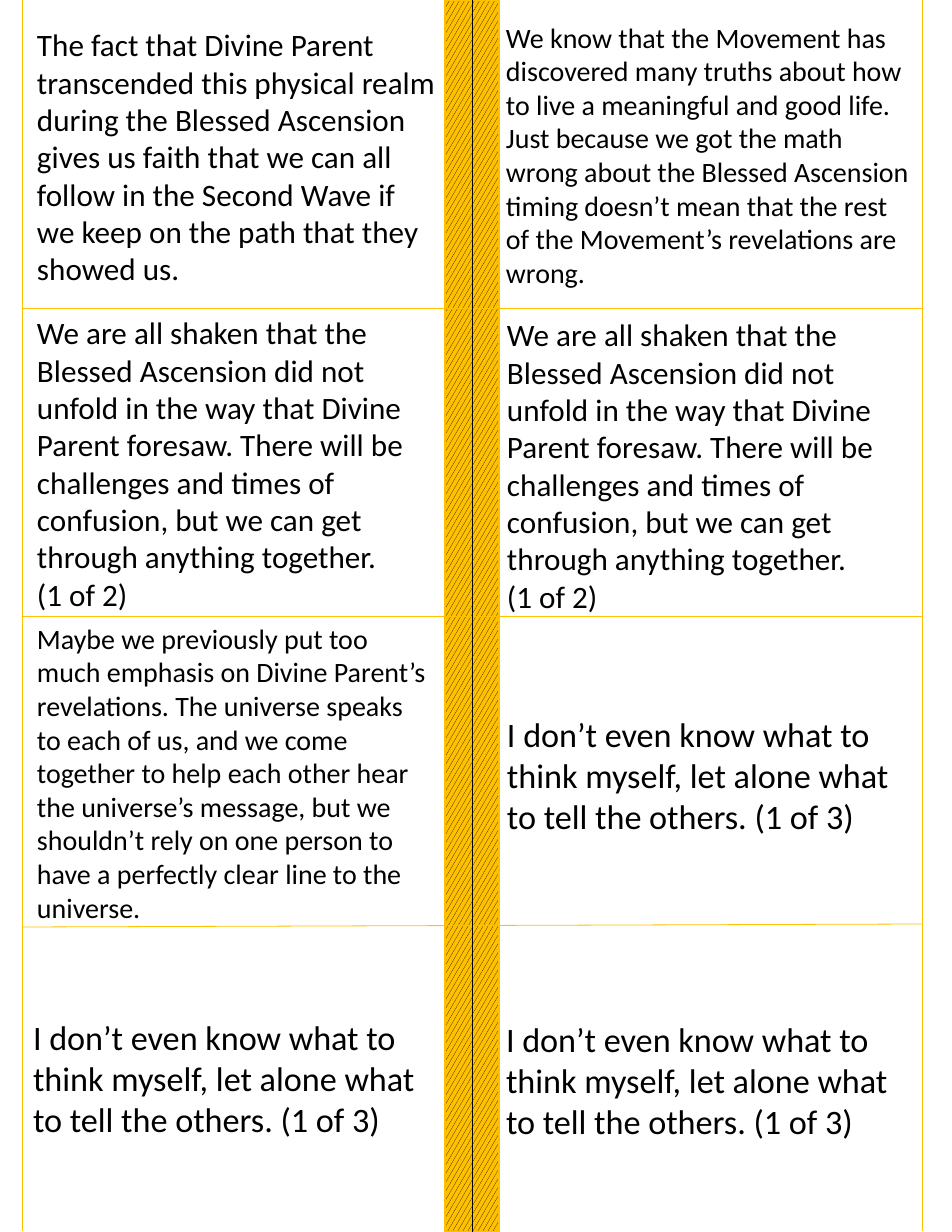
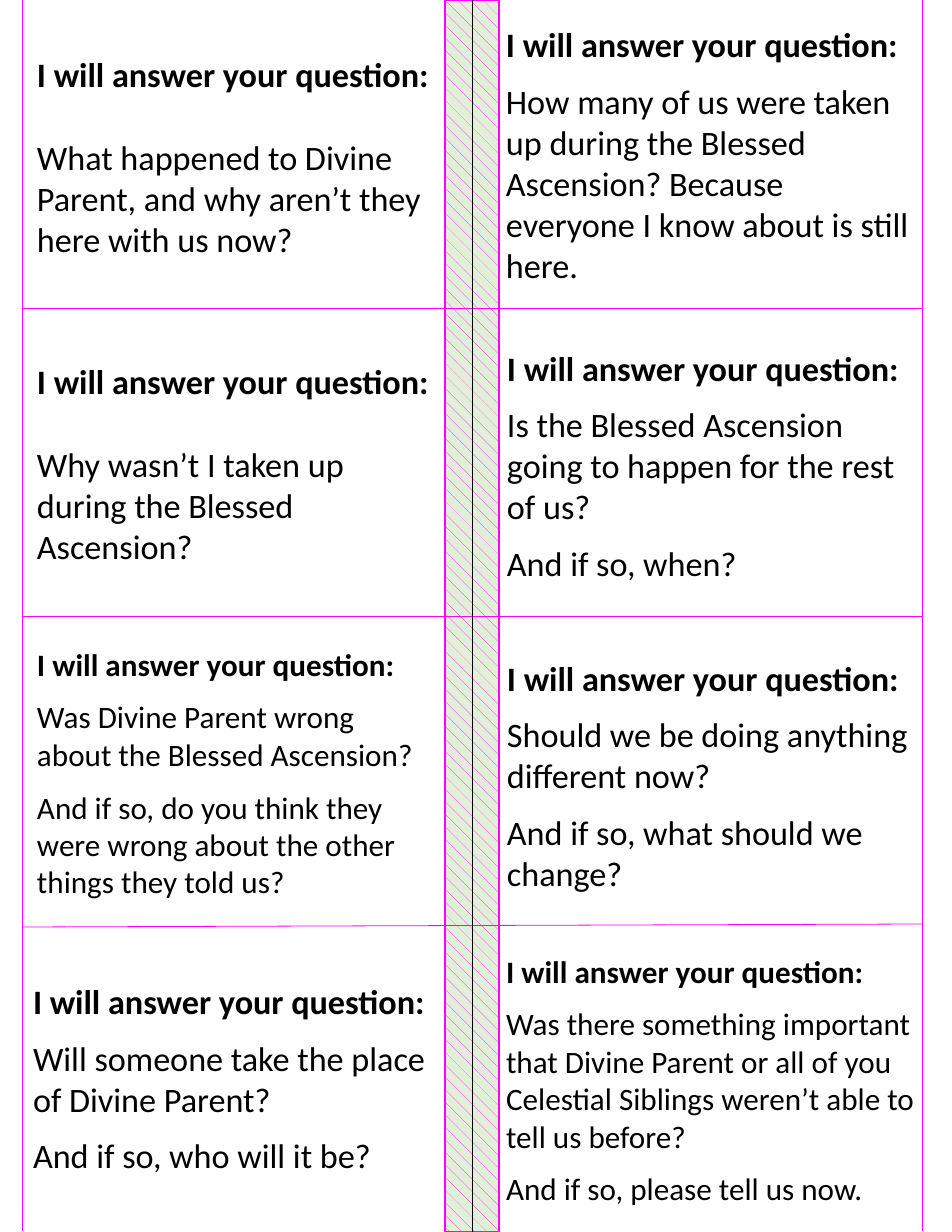
from dataclasses import dataclass

import pptx
import pptx.util
import pptx.dml.color
import pptx.enum.dml
import pptx.enum.shapes
import pptx.enum.text
import pptx.oxml.ns
from lxml import etree

PATTERN = pptx.enum.dml.MSO_PATTERN
EMU_PER_PX = 914400 / 112
PAGE_W, PAGE_H = 952, 1232


@dataclass(frozen=True)
class Theme:
    font: str = "Calibri"
    ink: str = "000000"
    gold: str = "FFC000"
    magenta: str = "FF00FF"
    pale_green: str = "E2F0D9"
    small: int = 18
    medium: int = 20
    large: int = 22
    hairline: float = 0.5
    band_line: float = 1
    narrow_gap: int = 10
    wide_gap: int = 27


THEME = Theme()

# Cutting guides, shared by both sheets
EDGES = (22, 922)
EDGE_BOTTOM = 1231
ROW_CUTS = ((308, 308), (616, 616), (927, 924))
BAND_LEFT, BAND_WIDTH = 445, 54

# Card text areas, row by row: left, top, width, height
CARD_AREAS = (
    (26, 8, 421, 297), (495, 2, 430, 305),
    (26, 311, 422, 304), (496, 315, 430, 300),
    (26, 623, 416, 299), (496, 623, 430, 304),
    (22, 928, 426, 300), (495, 933, 435, 293),
)

SHAKEN = (
    "We are all shaken that the Blessed Ascension did not unfold in the way that "
    "Divine Parent foresaw. There will be challenges and times of confusion, but "
    "we can get through anything together.",
    "(1 of 2)",
)
UNSURE = (
    "I don’t even know what to think myself, let alone what to tell the others. (1 of 3)",
)

# Answers: size, paragraphs
ANSWERS = (
    (THEME.medium, (
        "The fact that Divine Parent transcended this physical realm during the "
        "Blessed Ascension gives us faith that we can all follow in the Second Wave "
        "if we keep on the path that they showed us.",)),
    (THEME.small, (
        "We know that the Movement has discovered many truths about how to live a "
        "meaningful and good life. Just because we got the math wrong about the "
        "Blessed Ascension timing doesn’t mean that the rest of the Movement’s "
        "revelations are wrong.",)),
    (THEME.medium, SHAKEN),
    (THEME.medium, SHAKEN),
    (THEME.small, (
        "Maybe we previously put too much emphasis on Divine Parent’s revelations. "
        "The universe speaks to each of us, and we come together to help each other "
        "hear the universe’s message, but we shouldn’t rely on one person to have a "
        "perfectly clear line to the universe.",)),
    (THEME.large, UNSURE),
    (THEME.large, UNSURE),
    (THEME.large, UNSURE),
)

# Questions: size, gap between paragraphs, paragraphs below the heading
QUESTION_HEADING = "I will answer your question:"
QUESTIONS = (
    (THEME.large, THEME.wide_gap, (
        "What happened to Divine Parent, and why aren’t they here with us now?",)),
    (THEME.large, THEME.narrow_gap, (
        "How many of us were taken up during the Blessed Ascension? Because everyone "
        "I know about is still here.",)),
    (THEME.large, THEME.wide_gap, (
        "Why wasn’t I taken up during the Blessed Ascension?",)),
    (THEME.large, THEME.narrow_gap, (
        "Is the Blessed Ascension going to happen for the rest of us?",
        "And if so, when?")),
    (THEME.medium, THEME.narrow_gap, (
        "Was Divine Parent wrong about the Blessed Ascension?",
        "And if so, do you think they were wrong about the other things they told us?")),
    (THEME.large, THEME.narrow_gap, (
        "Should we be doing anything different now?",
        "And if so, what should we change?")),
    (THEME.large, THEME.narrow_gap, (
        "Will someone take the place of Divine Parent?",
        "And if so, who will it be?")),
    (THEME.medium, THEME.narrow_gap, (
        "Was there something important that Divine Parent or all of you Celestial "
        "Siblings weren’t able to tell us before?",
        "And if so, please tell us now.")),
)


def px(length):
    return pptx.util.Emu(round(length * EMU_PER_PX))


def rgb(color):
    return pptx.dml.color.RGBColor.from_string(color)


def add_guide(slide, start, end, color):
    guide = slide.shapes.add_connector(
        pptx.enum.shapes.MSO_CONNECTOR.STRAIGHT, *map(px, start + end))
    guide.line.color.rgb = rgb(color)
    guide.line.width = pptx.util.Pt(THEME.hairline)
    etree.SubElement(guide._element.spPr, pptx.oxml.ns.qn("a:effectLst"))
    return guide


def add_band(slide, pattern, fore, back, outline):
    band = slide.shapes.add_shape(
        pptx.enum.shapes.MSO_SHAPE.RECTANGLE,
        px(BAND_LEFT), px(0), px(BAND_WIDTH), px(PAGE_H))
    band.shadow.inherit = False
    band.fill.patterned()
    band.fill.pattern = pattern
    band.fill.fore_color.rgb = rgb(fore)
    band.fill.back_color.rgb = rgb(back)
    band.line.color.rgb = rgb(outline)
    band.line.width = pptx.util.Pt(THEME.band_line)
    return band


def add_card(slide, area, size, paragraphs, gap=0, heading=False):
    frame = slide.shapes.add_textbox(*map(px, area)).text_frame
    frame.word_wrap = True
    frame.vertical_anchor = pptx.enum.text.MSO_ANCHOR.MIDDLE
    for index, text in enumerate(paragraphs):
        paragraph = frame.add_paragraph() if index else frame.paragraphs[0]
        paragraph.text = text
        paragraph.font.name = THEME.font
        paragraph.font.size = pptx.util.Pt(size)
        paragraph.font.color.rgb = rgb(THEME.ink)
        paragraph.font.bold = heading and index == 0
        if index:
            paragraph.space_before = pptx.util.Pt(gap)


def add_sheet(deck, pattern, fore, back, guide_color):
    """Add a page with its centre band and cutting guides."""
    slide = deck.slides.add_slide(deck.slide_layouts[6])
    band = add_band(slide, pattern, fore, back, guide_color)
    for left_y, right_y in ROW_CUTS:
        add_guide(slide, (EDGES[0], left_y), (EDGES[1], right_y), guide_color)
    for edge in EDGES:
        add_guide(slide, (edge, 0), (edge, EDGE_BOTTOM), guide_color)
    fold_x = BAND_LEFT + BAND_WIDTH // 2
    fold = add_guide(slide, (fold_x, 0), (fold_x, PAGE_H), THEME.ink)
    fold.begin_connect(band, 0)
    fold.end_connect(band, 2)
    return slide


def main():
    deck = pptx.Presentation()
    deck.slide_width, deck.slide_height = px(PAGE_W), px(PAGE_H)

    # Answer cards
    answers = add_sheet(deck, PATTERN.LARGE_CONFETTI, THEME.ink, THEME.gold, THEME.gold)
    for area, (size, paragraphs) in zip(CARD_AREAS, ANSWERS):
        add_card(answers, area, size, paragraphs)

    # Question cards
    questions = add_sheet(
        deck, PATTERN.SHINGLE, THEME.magenta, THEME.pale_green, THEME.magenta)
    for area, (size, gap, paragraphs) in zip(CARD_AREAS, QUESTIONS):
        add_card(questions, area, size, (QUESTION_HEADING, *paragraphs), gap, heading=True)

    deck.save("out.pptx")


if __name__ == "__main__":
    main()
